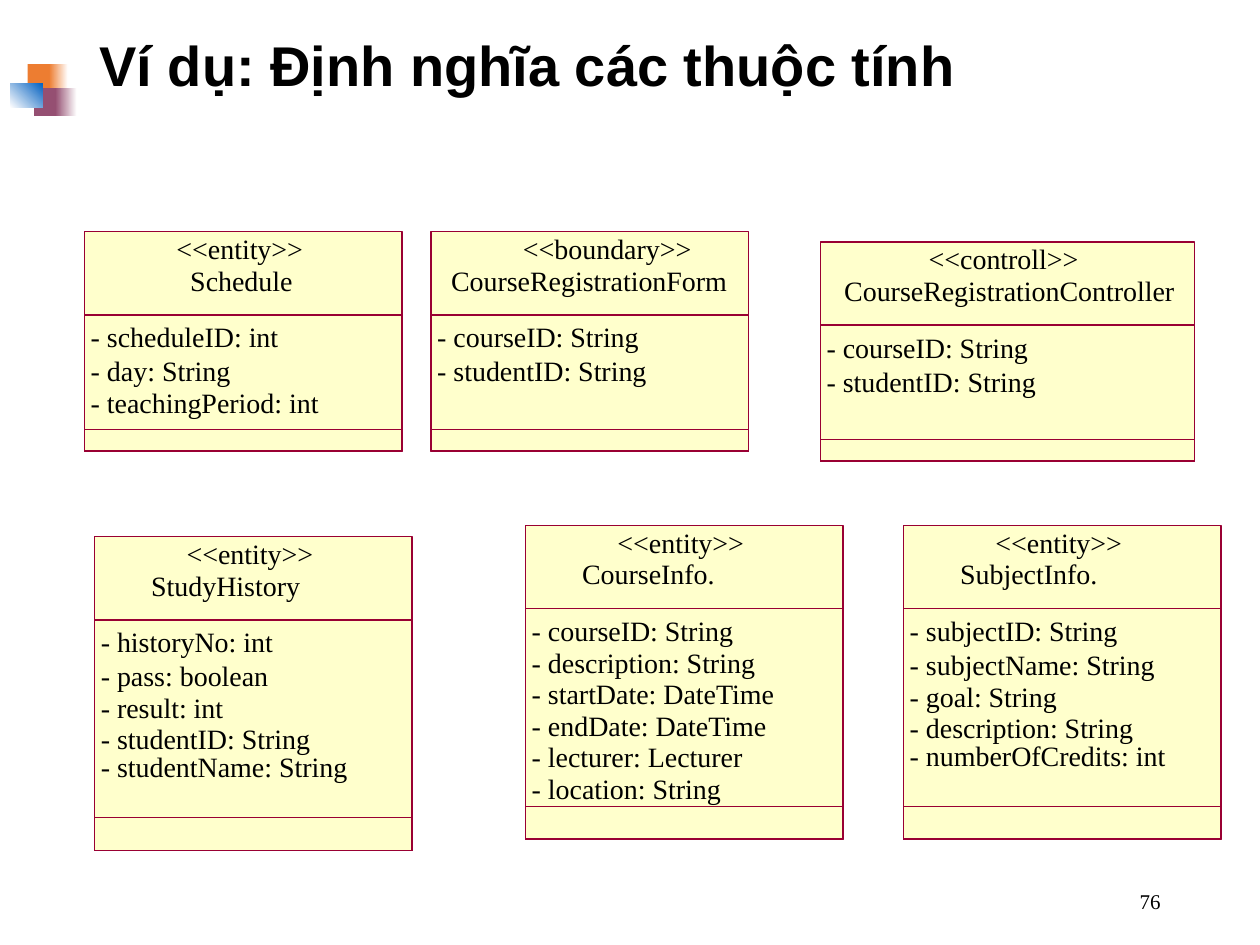
from pptx import Presentation
from pptx.dml.color import RGBColor
from pptx.enum.shapes import MSO_SHAPE
from pptx.enum.text import MSO_ANCHOR, MSO_AUTO_SIZE, PP_ALIGN
from pptx.util import Inches, Pt

RECTANGLE = MSO_SHAPE.RECTANGLE
MIDDLE = MSO_ANCHOR.MIDDLE
LEFT, RIGHT = PP_ALIGN.LEFT, PP_ALIGN.RIGHT
FIT_SHAPE, FIT_NONE = MSO_AUTO_SIZE.SHAPE_TO_FIT_TEXT, MSO_AUTO_SIZE.NONE

TITLE_FORMAT = {"name": "Arial", "size": Pt(32), "bold": True}
BODY_FORMAT = {"name": "Times New Roman", "size": Pt(16)}
NUMBER_FORMAT = {"name": "Times New Roman", "size": Pt(12)}
FRAME_FORMAT = {"margin_left": 0, "margin_right": 0, "margin_top": 0,
                "margin_bottom": 0, "word_wrap": False, "auto_size": FIT_SHAPE}

HEADER_HEIGHT = 0.66
SMALL = {"height": 1.74, "operations": 0.17}
LARGE = {"height": 2.49, "operations": 0.26}
ATTRIBUTE_TOPS = [0.70, 0.97, 1.22, 1.47, 1.69]
EVEN_TOPS = [0.70, 0.95, 1.20, 1.45, 1.70, 1.95]

# left, top, width, size, stereotype, name, name indent, attributes
CLASSES = [
    (4.17, 4.17, 2.52, LARGE, "<<entity>>", "CourseInfo.", 0.45,
     ["- courseID: String", "- description: String", "- startDate: DateTime",
      "- endDate: DateTime", "- lecturer: Lecturer", "- location: String"]),
    (7.17, 4.17, 2.52, LARGE, "<<entity>>", "SubjectInfo.", 0.45,
     ["- subjectID: String", "- subjectName: String", "- goal: String",
      "- description: String", "- numberOfCredits: int"]),
    (0.75, 4.26, 2.52, LARGE, "<<entity>>", "StudyHistory", 0.45,
     ["- historyNo: int", "- pass: boolean", "- result: int",
      "- studentID: String", "- studentName: String"]),
    (3.42, 1.84, 2.52, SMALL, "<<boundary>>", "CourseRegistrationForm", 0.16,
     ["- courseID: String", "- studentID: String"]),
    (0.67, 1.84, 2.52, SMALL, "<<entity>>", "Schedule", 0.84,
     ["- scheduleID: int", "- day: String", "- teachingPeriod: int"]),
    (6.51, 1.92, 2.97, SMALL, "<<controll>>", "CourseRegistrationController", 0.19,
     ["- courseID: String", "- studentID: String"]),
]

# left, top, width, height, colours, angle
ORNAMENT = [
    (0.22, 0.51, 0.20, 0.22, ["ED7D31"], 0),
    (0.39, 0.51, 0.15, 0.22, ["ED7D31", "FFFFFF"], 0),
    (0.27, 0.70, 0.19, 0.22, ["954F72"], 0),
    (0.44, 0.70, 0.17, 0.22, ["954F72", "FFFFFF"], 0),
    (0.08, 0.66, 0.26, 0.19, ["FFFFFF", "0563C1"], 45),
]


def color(value):
    return RGBColor.from_string(value)


def apply(target, values):
    for name, value in values.items():
        setattr(target, name, value)


class ClassSlide:
    """Holds the colours and the slide that the elements are drawn on."""

    ink, paper, border = "000000", "FFFFCC", "990033"

    def __init__(self, deck):
        self.page = deck.slides.add_slide(deck.slide_layouts[5])

    def add_span(self, para, words, values):
        span = para.add_run()
        span.text = words
        apply(span.font, values)
        span.font.color.rgb = color(self.ink)

    def title(self, words, left, top, width, height):
        box = self.page.shapes.title
        apply(box, {"left": Inches(left), "top": Inches(top),
                    "width": Inches(width), "height": Inches(height)})
        apply(box.text_frame, {"vertical_anchor": MIDDLE, "word_wrap": True,
                               "auto_size": FIT_NONE})
        para = box.text_frame.paragraphs[0]
        apply(para, {"alignment": LEFT, "line_spacing": 0.9})
        self.add_span(para, words, TITLE_FORMAT)

    def number(self, words, left, top, width, height):
        box = self.page.shapes.add_textbox(*map(Inches, (left, top, width, height)))
        apply(box.text_frame, {"vertical_anchor": MIDDLE, "word_wrap": True})
        para = box.text_frame.paragraphs[0]
        para.alignment = RIGHT
        self.add_span(para, words, NUMBER_FORMAT)

    def label(self, group, words, left, top, letter_width=0.1):
        width = letter_width * len(words) + 0.02
        box = group.shapes.add_textbox(*map(Inches, (left, top, width, 0.27)))
        apply(box.text_frame, FRAME_FORMAT)
        self.add_span(box.text_frame.paragraphs[0], words, BODY_FORMAT)

    def rectangle(self, group, left, top, width, height):
        box = group.shapes.add_shape(
            RECTANGLE, *map(Inches, (left, top, width, height)))
        box.shadow.inherit = False
        return box

    def compartment(self, group, left, top, width, height, filled=False):
        box = self.rectangle(group, left, top, width, height)
        if filled:
            box.fill.solid()
            box.fill.fore_color.rgb = color(self.paper)
        else:
            box.fill.background()
        box.line.color.rgb = color(self.border)
        box.line.width = 0

    def ornament(self, parts):
        group = self.page.shapes.add_group_shape()
        for left, top, width, height, colors, angle in parts:
            box = self.rectangle(group, left, top, width, height)
            box.line.fill.background()
            if len(colors) == 1:
                box.fill.solid()
                box.fill.fore_color.rgb = color(colors[0])
                continue
            box.fill.gradient()
            box.fill.gradient_angle = angle
            for stop, value, position in zip(box.fill.gradient_stops, colors, (0, 1)):
                stop.color.rgb = color(value)
                stop.position = position

    def class_box(self, left, top, width, size, stereotype, name, indent, attributes):
        group = self.page.shapes.add_group_shape()
        height, operations = size["height"], size["operations"]
        self.compartment(group, left, top, width, height, filled=True)
        self.compartment(group, left, top + HEADER_HEIGHT, width, height - HEADER_HEIGHT)
        self.compartment(group, left, top + height - operations, width, operations)
        self.label(group, stereotype, left + 0.29 * width, top, letter_width=0.11)
        self.label(group, name, left + indent, top + 0.25)
        tops = EVEN_TOPS if len(attributes) > len(ATTRIBUTE_TOPS) else ATTRIBUTE_TOPS
        for offset, attribute in zip(tops, attributes):
            self.label(group, attribute, left + 0.05, top + offset)


def main():
    deck = Presentation()
    deck.slide_width, deck.slide_height = Inches(10), Inches(7.5)
    slide = ClassSlide(deck)
    slide.ornament(ORNAMENT)
    slide.title("Ví dụ: Định nghĩa các thuộc tính", 0.69, 0.15, 8.62, 0.78)
    slide.number("76", 7.06, 6.95, 2.25, 0.4)
    for entry in CLASSES:
        slide.class_box(*entry)
    deck.save("out.pptx")


if __name__ == "__main__":
    main()
